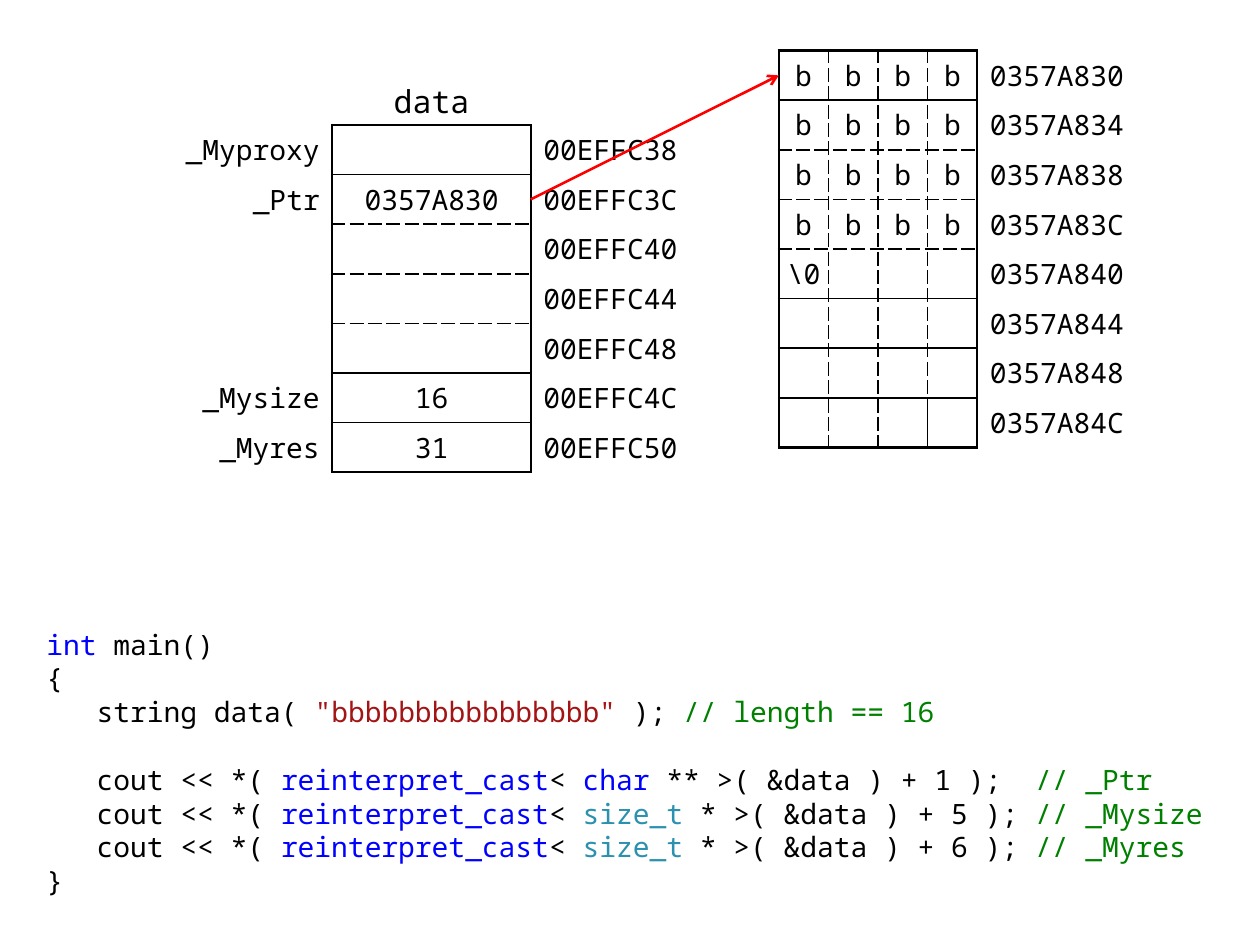
from lxml import etree
from pptx import Presentation
from pptx.dml.color import RGBColor
from pptx.enum.shapes import MSO_CONNECTOR
from pptx.enum.text import MSO_ANCHOR, PP_ALIGN
from pptx.oxml.ns import qn
from pptx.util import Cm, Inches, Pt

LEFT, CENTER, RIGHT = PP_ALIGN.LEFT, PP_ALIGN.CENTER, PP_ALIGN.RIGHT
MIDDLE = MSO_ANCHOR.MIDDLE
STRAIGHT = MSO_CONNECTOR.STRAIGHT
FONT = "Noto Sans Mono"
BLACK, RED = "000000", "FF0000"
KEYWORD, LITERAL, COMMENT, TYPE = "0000FF", "A31515", "008000", "2B91AF"
PLAIN_TABLE_STYLE = "{2D5ABB26-0587-4C30-8999-92F81FD0307C}"
CODE_LINE = 19.3
OUTER, SOLID, DASHED = (1.5, "solid"), (1, "solid"), (1, "sysDash")

OBJECT_LEFT, OBJECT_TOP = 3.2, 2.52
OBJECT_COLUMNS = [3.5, 4, 3.5]
HEAP_LEFT, HEAP_TOP = 15.7, 1.02
HEAP_COLUMNS = [1, 1, 1, 1, 3.5]

OBJECT_ROWS = [
    ["_Myproxy", "", "00EFFC38"],
    ["_Ptr", "0357A830", "00EFFC3C"],
    ["", "", "00EFFC40"],
    ["", "", "00EFFC44"],
    ["", "", "00EFFC48"],
    ["_Mysize", "16", "00EFFC4C"],
    ["_Myres", "31", "00EFFC50"],
]
HEAP_BYTES = [["b"] * 4] * 4 + [["\\0", "", "", ""]] + [[""] * 4] * 3
HEAP_ADDRESSES = ["0357A830", "0357A834", "0357A838", "0357A83C",
                  "0357A840", "0357A844", "0357A848", "0357A84C"]


def grid(count):
    """Return the length of a number of memory cells."""
    return Cm(count)


def colour(code):
    """Turn a hex string into a colour."""
    return RGBColor.from_string(code)


def write(paragraph, text, size=16, color=BLACK, align=LEFT):
    """Add a formatted run to a paragraph."""
    paragraph.alignment = align
    run = paragraph.add_run()
    run.text = text
    run.font.name = FONT
    run.font.size = Pt(size)
    run.font.color.rgb = colour(color)


def add_text_frame(slide, left, top, width, height):
    """Add a wrapping text box and return its text frame."""
    frame = slide.shapes.add_textbox(left, top, width, height).text_frame
    frame.word_wrap = True
    return frame


def set_borders(cell, **sides):
    """Draw black borders on the named sides of a cell."""
    properties = cell._tc.get_or_add_tcPr()
    for position, side in enumerate(("L", "R", "T", "B")):
        width, dash = sides[side]
        line = etree.Element(qn(f"a:ln{side}"), w=str(Pt(width)))
        fill = etree.SubElement(line, qn("a:solidFill"))
        etree.SubElement(fill, qn("a:srgbClr"), val=BLACK)
        etree.SubElement(line, qn("a:prstDash"), val=dash)
        properties.insert(position, line)


def fill_cell(cell, text, align, side_margin):
    """Set margins, background and text of a table cell."""
    cell.fill.background()
    cell.vertical_anchor = MIDDLE
    cell.margin_top = cell.margin_bottom = Inches(0.04)
    cell.margin_left = cell.margin_right = Inches(side_margin)
    if text:
        write(cell.text_frame.paragraphs[0], text, align=align)


def add_memory_table(slide, left, top, columns, rows, framed, row_lines):
    """Add a memory table whose framed columns carry borders."""
    height = len(rows)
    table = slide.shapes.add_table(
        height, len(columns), grid(left), grid(top),
        grid(sum(columns)), grid(height)).table
    table.first_row = table.horz_banding = False
    table._tbl.tblPr.find(qn("a:tableStyleId")).text = PLAIN_TABLE_STYLE
    for column, width in zip(table.columns, columns):
        column.width = grid(width)
    lines = [OUTER, *row_lines, OUTER]
    for r, values in enumerate(rows):
        table.rows[r].height = grid(1)
        for c, text in enumerate(values):
            cell = table.cell(r, c)
            if c not in framed:
                fill_cell(cell, text, RIGHT if c < framed[0] else LEFT, 0.1)
                continue
            fill_cell(cell, text, CENTER, 0 if text == "\\0" else 0.08)
            last_pair = framed[-2:] if r == height - 1 else []
            inner_left = SOLID if c in last_pair[1:] else DASHED
            inner_right = SOLID if c in last_pair[:1] else DASHED
            set_borders(
                cell,
                L=OUTER if c == framed[0] else inner_left,
                R=OUTER if c == framed[-1] else inner_right,
                T=lines[r], B=lines[r + 1])


def add_arrow(slide, start, end):
    """Add a red arrow between two grid points."""
    arrow = slide.shapes.add_connector(STRAIGHT, *map(grid, start + end))
    arrow.line.color.rgb = colour(RED)
    arrow.line.width = Pt(1.5)
    etree.SubElement(arrow.line._get_or_add_ln(), qn("a:tailEnd"), type="arrow")
    etree.SubElement(arrow._element.spPr, qn("a:effectLst"))


def print_statement(target, pointer, rest, comment):
    """Return the coloured parts of one output statement."""
    return [("   cout << *( ", BLACK), ("reinterpret_cast", KEYWORD),
            ("< ", BLACK), target, (f"{pointer} >( &data ) + {rest}", BLACK),
            (f"// {comment}", COMMENT)]


def add_code(slide, presentation):
    """Add the coloured program listing."""
    declaration = [
        [("int", KEYWORD), (" main()", BLACK)],
        [("{", BLACK)],
        [("   string data( ", BLACK), ('"bbbbbbbbbbbbbbbb"', LITERAL),
         (" ); ", BLACK), ("// length == 16", COMMENT)],
    ]
    output = [
        print_statement(("char", KEYWORD), " **", "1 );  ", "_Ptr"),
        print_statement(("size_t ", TYPE), "*", "5 ); ", "_Mysize"),
        print_statement(("size_t ", TYPE), "*", "6 ); ", "_Myres"),
        [("}", BLACK)],
    ]
    width, height = presentation.slide_width, presentation.slide_height
    frame = add_text_frame(slide, int(width * 0.027), int(height * 0.657),
                           int(width * 0.945), int(height * 0.29))
    for index, parts in enumerate(declaration + output):
        paragraph = frame.paragraphs[0] if index == 0 else frame.add_paragraph()
        paragraph.line_spacing = Pt(CODE_LINE)
        if index == len(declaration):
            paragraph.space_before = Pt(CODE_LINE)
        for text, color in parts:
            write(paragraph, text, color=color)


def main():
    """Build the slide and save it."""
    presentation = Presentation()
    presentation.slide_width, presentation.slide_height = Inches(10), Inches(7.5)
    slide = presentation.slides.add_slide(presentation.slide_layouts[6])
    add_code(slide, presentation)
    add_memory_table(slide, OBJECT_LEFT, OBJECT_TOP, OBJECT_COLUMNS, OBJECT_ROWS,
                     [1], [SOLID] + [DASHED] * 3 + [SOLID] * 2)
    data_left = OBJECT_LEFT + OBJECT_COLUMNS[0]
    title = add_text_frame(slide, grid(data_left), grid(OBJECT_TOP - 1),
                           grid(OBJECT_COLUMNS[1]), grid(1))
    write(title.paragraphs[0], "data", size=18, align=CENTER)
    heap_rows = [values + [address]
                 for values, address in zip(HEAP_BYTES, HEAP_ADDRESSES)]
    add_memory_table(slide, HEAP_LEFT, HEAP_TOP, HEAP_COLUMNS, heap_rows,
                     [0, 1, 2, 3], [SOLID] + [DASHED] * 3 + [SOLID] * 3)
    add_arrow(slide, (data_left + OBJECT_COLUMNS[1], OBJECT_TOP + 1.5),
              (HEAP_LEFT, HEAP_TOP + 0.5))
    presentation.save("out.pptx")


if __name__ == "__main__":
    main()
